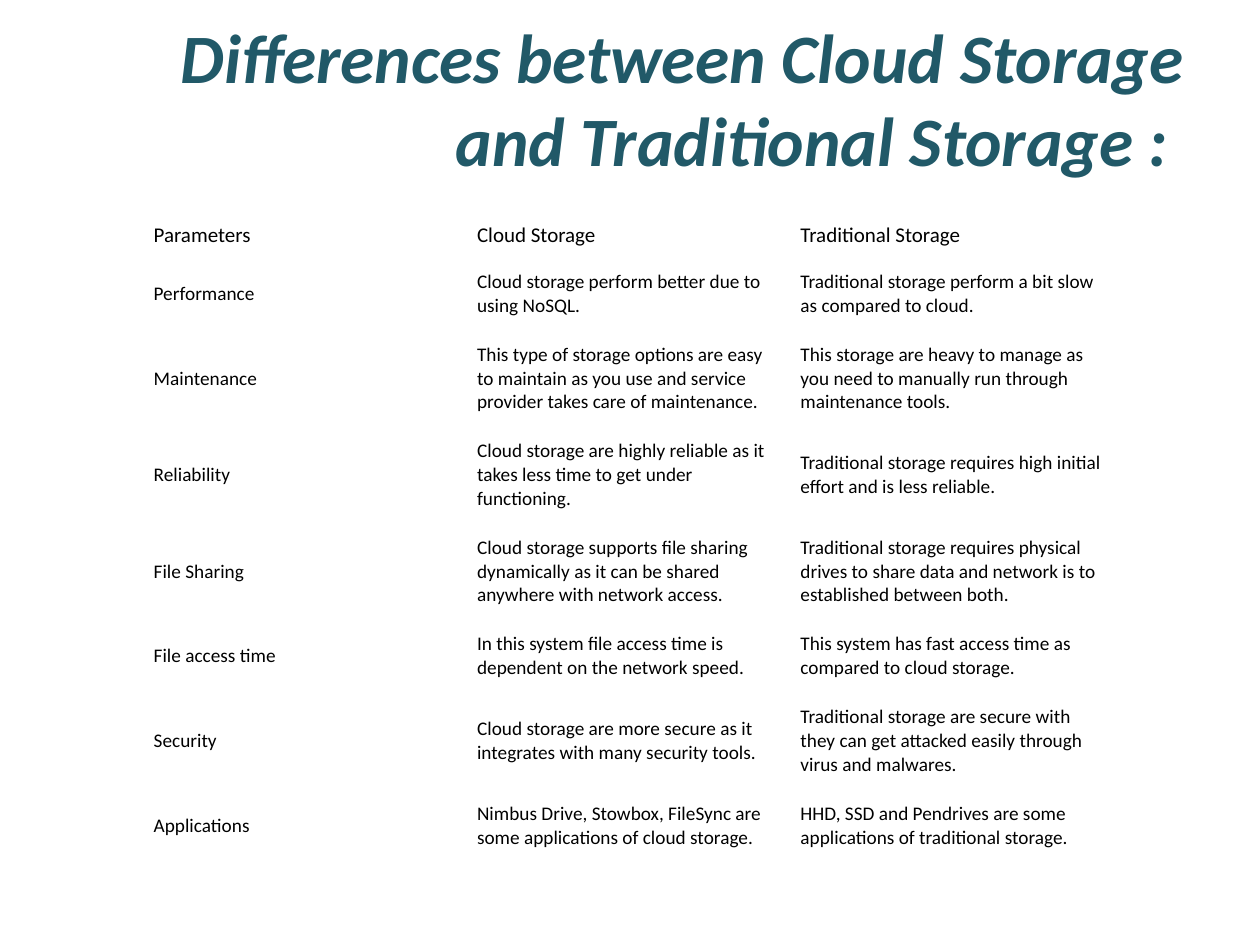
from dataclasses import dataclass

from pptx import Presentation
from pptx.dml.color import RGBColor
from pptx.enum.text import MSO_ANCHOR, MSO_AUTO_SIZE, PP_ALIGN
from pptx.util import Inches, Pt

MIDDLE = MSO_ANCHOR.MIDDLE
NO_AUTOFIT = MSO_AUTO_SIZE.NONE
RIGHT = PP_ALIGN.RIGHT

TITLE = "Differences between Cloud Storage and Traditional Storage : "
HEADER = ("Parameters", "Cloud Storage", "Traditional Storage")
COMPARISON = [
    (2, "Performance",
     "Cloud storage perform better due to using NoSQL.",
     "Traditional storage perform a bit slow as compared to cloud."),
    (3, "Maintenance",
     "This type of storage options are easy to maintain as you use and service provider takes care of maintenance.",
     "This storage are heavy to manage as you need to manually run through maintenance tools."),
    (3, "Reliability",
     "Cloud storage are highly reliable as it takes less time to get under functioning.",
     "Traditional storage requires high initial effort and is less reliable."),
    (3, "File Sharing",
     "Cloud storage supports file sharing dynamically as it can be shared anywhere with network access.",
     "Traditional storage requires physical drives to share data and network is to established between both."),
    (2, "File access time",
     "In this system file access time is dependent on the network speed.",
     "This system has fast access time as compared to cloud storage."),
    (3, "Security",
     "Cloud storage are more secure as it integrates with many security tools.",
     "Traditional storage are secure with they can get attacked easily through virus and malwares."),
    (2, "Applications",
     "Nimbus Drive, Stowbox, FileSync are some applications of cloud storage.",
     "HHD, SSD and Pendrives are some applications of traditional storage."),
]


@dataclass(frozen=True)
class Theme:
    font: str = "Calibri"
    title_size: float = 39.6
    header_size: float = 12
    body_size: float = 11
    title_color: RGBColor = RGBColor(0x21, 0x59, 0x68)
    text_color: RGBColor = RGBColor(0, 0, 0)
    paper: RGBColor = RGBColor(255, 255, 255)


THEME = Theme()
WIDTH, HEIGHT = Inches(10), Inches(7.5)
TABLE_LEFT, TABLE_TOP, TABLE_WIDTH = Inches(1.15), Inches(1.7), Inches(7.7)
HEADER_HEIGHT = Inches(0.34)
LINE_HEIGHT, ROW_PADDING = Inches(0.17), Inches(0.22)
SIDE_INSET, HEADER_INSET, BODY_INSET = Inches(0.07), Inches(0.07), Inches(0.1)


def style_font(font, size, color, emphasis=False):
    font.name = THEME.font
    font.size = Pt(size)
    font.color.rgb = color
    font.bold = font.italic = emphasis


def add_title(page):
    title = page.shapes.title
    title.left, title.top = int(WIDTH * 0.05), int(HEIGHT * 0.04)
    title.width, title.height = int(WIDTH * 0.9), Inches(0.95)
    frame = title.text_frame
    frame.text = TITLE
    frame.word_wrap = True
    frame.auto_size = NO_AUTOFIT
    frame.vertical_anchor = MIDDLE
    para = frame.paragraphs[0]
    para.alignment = RIGHT
    style_font(para.runs[0].font, THEME.title_size, THEME.title_color, True)


def fill_row(row, texts, height, inset, size):
    row.height = height
    for cell, text in zip(row.cells, texts):
        cell.text = text
        cell.vertical_anchor = MIDDLE
        cell.margin_left = cell.margin_right = SIDE_INSET
        cell.margin_top = cell.margin_bottom = inset
        cell.fill.solid()
        cell.fill.fore_color.rgb = THEME.paper
        style_font(cell.text_frame.paragraphs[0].runs[0].font, size, THEME.text_color)


def add_comparison(page):
    heights = [ROW_PADDING + lines * LINE_HEIGHT for lines, *_ in COMPARISON]
    table = page.shapes.add_table(
        len(COMPARISON) + 1, len(HEADER), TABLE_LEFT, TABLE_TOP,
        TABLE_WIDTH, HEADER_HEIGHT + sum(heights)).table
    table.first_row = table.horz_banding = False
    header, *body = table.rows
    fill_row(header, HEADER, HEADER_HEIGHT, HEADER_INSET, THEME.header_size)
    for row, (_, *texts), height in zip(body, COMPARISON, heights):
        fill_row(row, texts, height, BODY_INSET, THEME.body_size)


def main():
    """Build the slide comparing cloud and traditional storage."""
    deck = Presentation()
    deck.slide_width, deck.slide_height = WIDTH, HEIGHT
    page = deck.slides.add_slide(deck.slide_layouts[5])
    add_title(page)
    add_comparison(page)
    deck.save("out.pptx")


if __name__ == "__main__":
    main()
